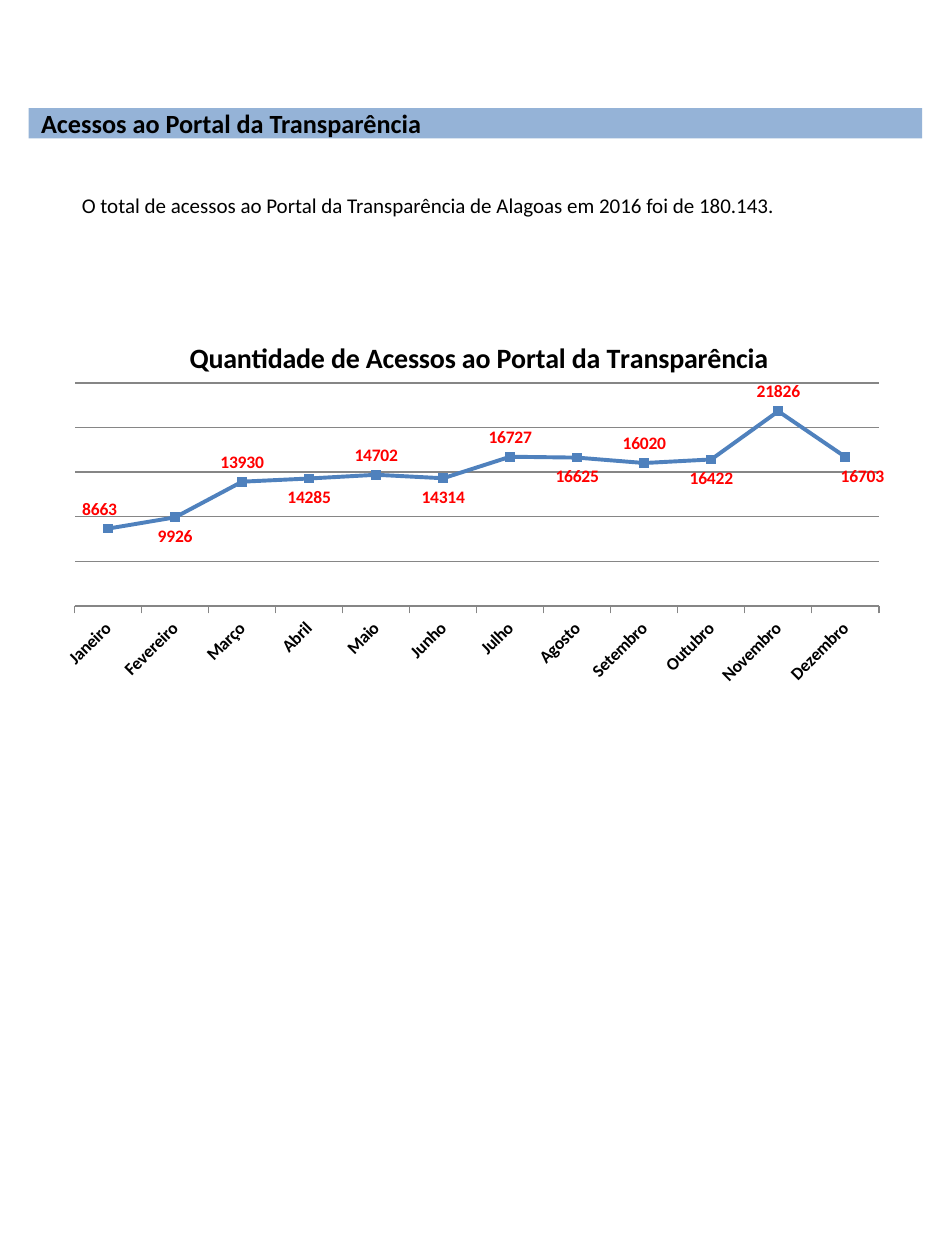
from typing import NamedTuple

from lxml.etree import SubElement
from pptx import Presentation
from pptx.chart.chart import Chart
from pptx.chart.data import CategoryChartData
from pptx.dml.color import RGBColor
from pptx.dml.fill import FillFormat
from pptx.enum.chart import XL_CHART_TYPE, XL_LABEL_POSITION, XL_MARKER_STYLE, XL_TICK_MARK
from pptx.enum.shapes import MSO_SHAPE
from pptx.enum.text import MSO_ANCHOR, MSO_AUTO_SIZE, PP_ALIGN
from pptx.oxml import parse_xml
from pptx.oxml.ns import nsdecls, qn
from pptx.oxml.xmlchemy import BaseOxmlElement
from pptx.slide import Slide
from pptx.text.text import Font, TextFrame
from pptx.util import Cm, Pt

FONT_NAME = "Calibri"
BLACK = "000000"
BAND_BLUE = "95B3D7"
LINE_BLUE = "4F81BD"
GRID_GRAY = "868686"
LABEL_RED = "FF0000"
ABOVE = XL_LABEL_POSITION.ABOVE
BELOW = XL_LABEL_POSITION.BELOW


class MonthlyAccess(NamedTuple):
    month: str
    total: int
    label_side: XL_LABEL_POSITION
    label_shift: float = 0


ACCESSES = [
    MonthlyAccess("Janeiro", 8663, ABOVE, -0.01),
    MonthlyAccess("Fevereiro", 9926, BELOW),
    MonthlyAccess("Março", 13930, ABOVE),
    MonthlyAccess("Abril", 14285, BELOW),
    MonthlyAccess("Maio", 14702, ABOVE),
    MonthlyAccess("Junho", 14314, BELOW),
    MonthlyAccess("Julho", 16727, ABOVE),
    MonthlyAccess("Agosto", 16625, BELOW),
    MonthlyAccess("Setembro", 16020, ABOVE),
    MonthlyAccess("Outubro", 16422, BELOW),
    MonthlyAccess("Novembro", 21826, ABOVE),
    MonthlyAccess("Dezembro", 16703, BELOW, 0.02),
]


def color(code: str) -> RGBColor:
    return RGBColor.from_string(code)


def paint(fill: FillFormat, code: str) -> None:
    fill.solid()
    fill.fore_color.rgb = color(code)


def style_font(font: Font, size: float, code: str = BLACK, bold: bool = False) -> None:
    font.name = FONT_NAME
    font.size = Pt(size)
    font.bold = bold
    font.color.rgb = color(code)


def write(frame: TextFrame, text: str, size: float, bold: bool = False) -> None:
    frame.text = text
    para = frame.paragraphs[0]
    para.alignment = PP_ALIGN.LEFT
    style_font(para.runs[0].font, size, bold=bold)


def set_layout(parent: BaseOxmlElement, index: int, **settings: str | float) -> None:
    for old_layout in parent.findall(qn("c:layout")):
        parent.remove(old_layout)
    layout = parse_xml(f"<c:layout {nsdecls('c')}><c:manualLayout/></c:layout>")
    for name, value in settings.items():
        SubElement(layout[0], qn(f"c:{name}")).set("val", str(value))
    parent.insert(index, layout)


def draw_heading(page: Slide) -> None:
    band = page.shapes.add_shape(MSO_SHAPE.RECTANGLE, Cm(0.58), Cm(2.18), Cm(18.01), Cm(0.61))
    band.shadow.inherit = False
    paint(band.fill, BAND_BLUE)
    band.line.fill.background()
    band.text_frame.vertical_anchor = MSO_ANCHOR.MIDDLE
    write(band.text_frame, "Acessos ao Portal da Transparência", 15, bold=True)


def draw_summary(page: Slide) -> None:
    box = page.shapes.add_textbox(Cm(1.4), Cm(3.76), Cm(14.66), Cm(0.76))
    box.text_frame.word_wrap = False
    box.text_frame.auto_size = MSO_AUTO_SIZE.SHAPE_TO_FIT_TEXT
    write(
        box.text_frame,
        "O total de acessos ao Portal da Transparência de Alagoas em 2016 foi de 180.143.",
        12,
    )


def style_axes(chart: Chart) -> None:
    months = chart.category_axis
    months.major_tick_mark = XL_TICK_MARK.OUTSIDE
    months.format.line.color.rgb = color(GRID_GRAY)
    style_font(months.tick_labels.font, 10, bold=True)
    for body in chart.element.xpath(".//c:catAx/c:txPr/a:bodyPr"):
        body.set("rot", str(-45 * 60000))

    totals = chart.value_axis
    totals.visible = False
    totals.minimum_scale = 0
    totals.maximum_scale = 25000
    totals.major_unit = 5000
    totals.has_major_gridlines = True
    totals.major_gridlines.format.line.color.rgb = color(GRID_GRAY)


def style_series(chart: Chart) -> None:
    plot = chart.plots[0]
    plot.vary_by_categories = False
    series = plot.series[0]
    series.smooth = False
    series.format.line.width = Pt(2.25)
    series.format.line.color.rgb = color(LINE_BLUE)
    series.marker.style = XL_MARKER_STYLE.SQUARE
    series.marker.size = 5
    paint(series.marker.format.fill, LINE_BLUE)
    series.marker.format.line.color.rgb = color(LINE_BLUE)

    series.data_labels.show_value = True
    style_font(series.data_labels.font, 10, LABEL_RED, bold=True)
    for index, access in enumerate(ACCESSES):
        label = series.points[index].data_label
        style_font(label.font, 10, LABEL_RED, bold=True)
        label.position = access.label_side
    for label_xml, access in zip(chart.element.xpath(".//c:dLbl"), ACCESSES):
        if access.label_shift:
            set_layout(label_xml, 1, x=access.label_shift, y=0)


def draw_chart(page: Slide) -> None:
    data = CategoryChartData()
    data.categories = [access.month for access in ACCESSES]
    data.add_series("Series 1", [access.total for access in ACCESSES])
    chart = page.shapes.add_chart(
        XL_CHART_TYPE.LINE_MARKERS, Cm(0.99), Cm(6.35), Cm(17.07), Cm(7.62), data
    ).chart
    style_font(chart.font, 10)
    chart.has_legend = False
    chart.has_title = True
    write(
        chart.chart_title.text_frame,
        "Quantidade de Acessos ao Portal da Transparência",
        16,
        bold=True,
    )
    style_axes(chart)
    style_series(chart)
    set_layout(
        chart.element.xpath("c:chart/c:title")[0], 1, xMode="edge", yMode="edge", x=0.16, y=0.05
    )
    set_layout(
        chart.element.xpath("c:chart/c:plotArea")[0],
        0,
        layoutTarget="inner",
        xMode="edge",
        yMode="edge",
        x=0.03,
        y=0.18,
        w=0.95,
        h=0.59,
    )


def main() -> None:
    deck = Presentation()
    deck.slide_width = Cm(19.05)
    deck.slide_height = Cm(25.4)
    page = deck.slides.add_slide(deck.slide_layouts[6])
    draw_heading(page)
    draw_chart(page)
    draw_summary(page)
    deck.save("out.pptx")


if __name__ == "__main__":
    main()
